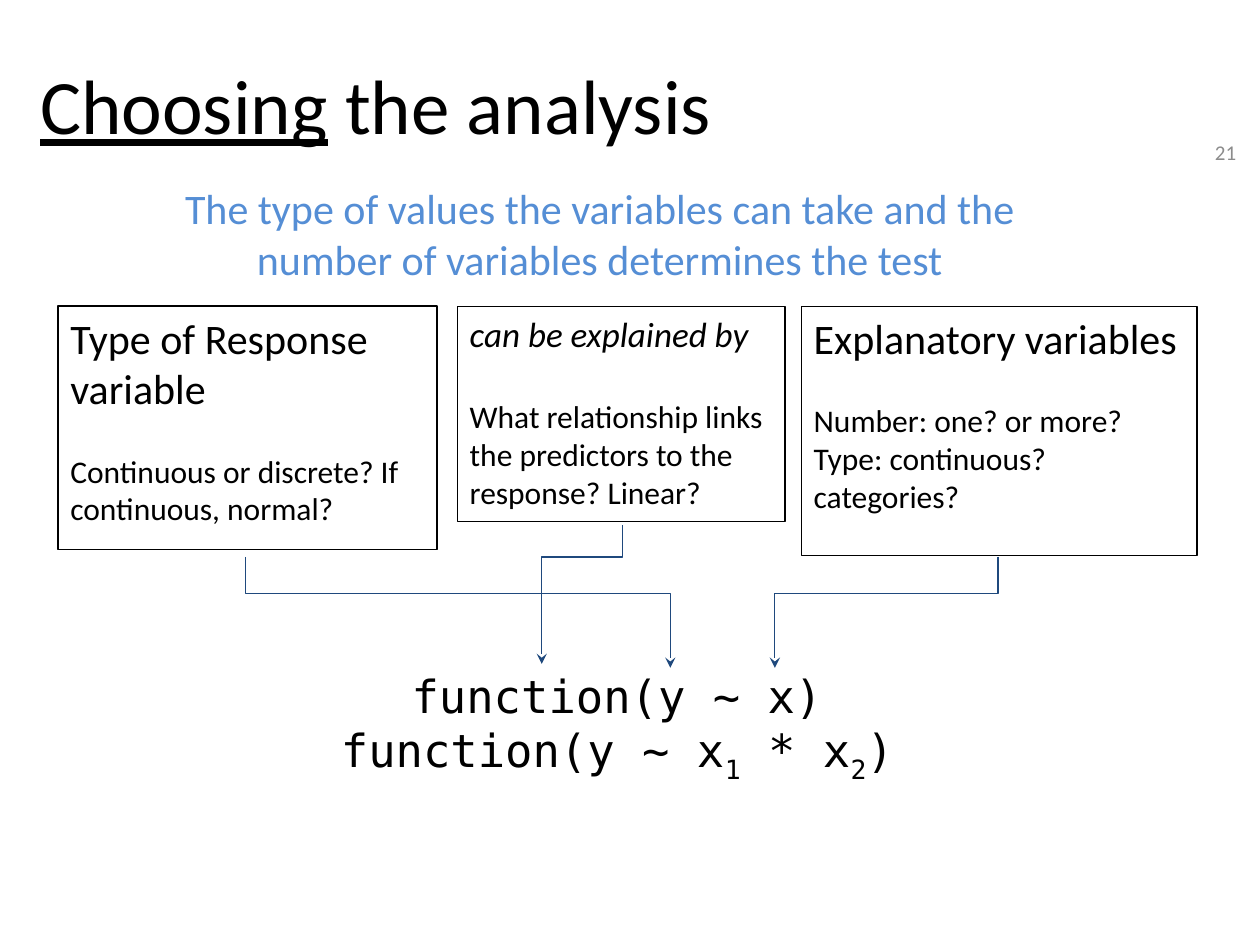
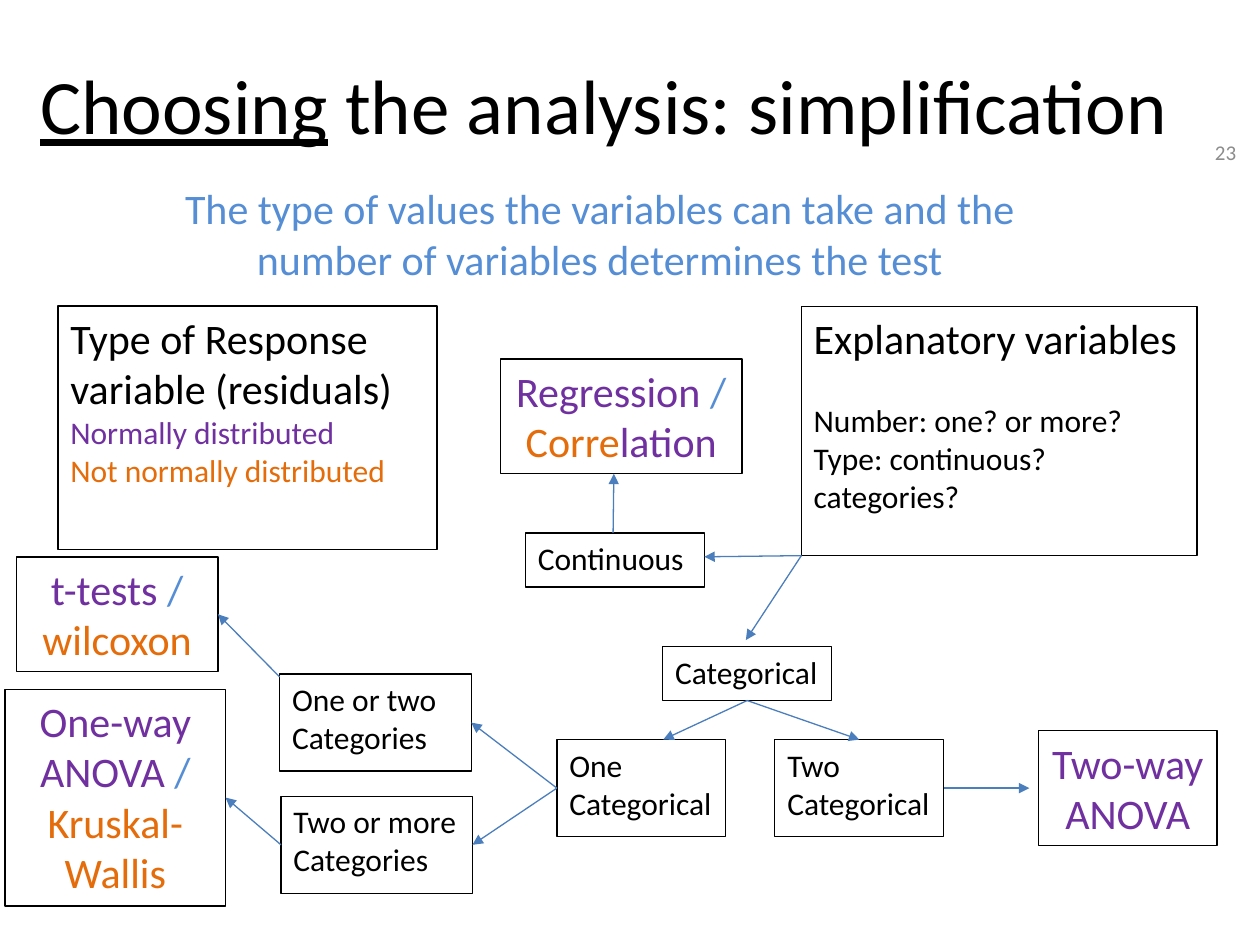
from lxml import etree
from pptx import Presentation
from pptx.dml.color import RGBColor
from pptx.enum.shapes import MSO_CONNECTOR, MSO_SHAPE
from pptx.enum.text import MSO_ANCHOR, PP_ALIGN
from pptx.oxml.ns import qn
from pptx.util import Inches, Pt

RECTANGLE = MSO_SHAPE.RECTANGLE
STRAIGHT = MSO_CONNECTOR.STRAIGHT
LEFT, CENTER, RIGHT = PP_ALIGN.LEFT, PP_ALIGN.CENTER, PP_ALIGN.RIGHT
TOP, MIDDLE, BOTTOM = MSO_ANCHOR.TOP, MSO_ANCHOR.MIDDLE, MSO_ANCHOR.BOTTOM

COLORS = {
    "black": "000000",
    "white": "FFFFFF",
    "gray": "8C8C8C",
    "sky": "558ED5",
    "navy": "1F497D",
    "steel": "4B7EBC",
    "purple": "7030A0",
    "orange": "E46C0A",
}
COLUMNS, ROWS = 100, 75
WIDTH, HEIGHT = Inches(10), Inches(7.5)
BODY_FONT, CODE_FONT = "Calibri", "DejaVu Sans Mono"
LINE_WIDTH = Pt(0.75)
BLANK_LINE = 1.22

RESPONSE_AREA = (4.6, 24.3, 30.1, 19.3)
EXPLANATORY_AREA = (63.6, 24.3, 31.4, 19.8)
SUBTITLE = ("The type of values the variables can take "
            "and the number of variables determines the test")


def rgb(name):
    return RGBColor.from_string(COLORS[name])


def write(paragraph, text, size=18, color="black", font=BODY_FONT,
          underline=None, italic=None, baseline=None):
    run = paragraph.add_run()
    run.text = text
    run.font.size = Pt(size)
    run.font.name = font
    run.font.color.rgb = rgb(color)
    run.font.underline = underline
    run.font.italic = italic
    if baseline:
        run.font._element.set("baseline", str(baseline * 1000))


class Deck:
    def __init__(self):
        self.presentation = Presentation()
        self.presentation.slide_width = WIDTH
        self.presentation.slide_height = HEIGHT
        self.slide = None

    def point(self, column, row):
        return round(column * WIDTH / COLUMNS), round(row * HEIGHT / ROWS)

    def area(self, left, top, width, height):
        return (*self.point(left, top), *self.point(width, height))

    def side(self, shape, across, down):
        left = shape.left + across * shape.width
        top = shape.top + down * shape.height
        return left * COLUMNS / WIDTH, top * ROWS / HEIGHT

    def fill_text(self, shape, paragraphs, align=LEFT, anchor=TOP, inset=0.05,
                  gaps=None, **text_format):
        frame = shape.text_frame
        frame.word_wrap = True
        frame.vertical_anchor = anchor
        frame.margin_left = frame.margin_right = Inches(0.1)
        frame.margin_top = frame.margin_bottom = Inches(inset)
        for index, runs in enumerate(paragraphs):
            paragraph = frame.paragraphs[0] if index == 0 else frame.add_paragraph()
            paragraph.alignment = align
            if gaps and index in gaps:
                paragraph.space_before = Pt(gaps[index] * BLANK_LINE)
            for run in [runs] if isinstance(runs, str) else runs:
                text, own_format = (run, {}) if isinstance(run, str) else run
                write(paragraph, text, **{**text_format, **own_format})

    def start_slide(self, title_end, number):
        layout = self.presentation.slide_layouts[5]
        self.slide = self.presentation.slides.add_slide(layout)
        title = self.slide.shapes.title
        title.left, title.top, title.width, title.height = self.area(2.2, 3.1, 94.3, 9.8)
        self.fill_text(title, [[("Choosing", {"underline": True}), title_end]],
                       anchor=BOTTOM, inset=0.1, size=44)
        self.text((93.1, 9.9, 6, 4.3), [number], align=RIGHT, anchor=MIDDLE,
                  inset=0.1, size=12, color="gray")
        self.text((9.7, 14, 75.8, 9.1), [SUBTITLE], align=CENTER, size=24, color="sky")

    def text(self, area, paragraphs, **text_format):
        shape = self.slide.shapes.add_textbox(*self.area(*area))
        self.fill_text(shape, paragraphs, **text_format)

    def box(self, area, paragraphs, fill="white", border=True, **text_format):
        shape = self.slide.shapes.add_shape(RECTANGLE, *self.area(*area))
        shape.shadow.inherit = False
        if fill:
            shape.fill.solid()
            shape.fill.fore_color.rgb = rgb(fill)
        else:
            shape.fill.background()
        if border:
            self.stroke(shape, "black")
        else:
            shape.line.fill.background()
        self.fill_text(shape, paragraphs, **text_format)
        return shape

    def test_box(self, area, paragraphs):
        return self.box(area, paragraphs, fill=None, align=CENTER, size=24,
                        color="purple")

    def explanatory_box(self):
        return self.box(EXPLANATORY_AREA, [
            [("Explanatory variables", {"size": 24})],
            "Number: one? or more?",
            "Type: continuous? categories?",
        ], gaps={1: 18})

    def stroke(self, shape, color, head=None):
        shape.line.color.rgb = rgb(color)
        shape.line.width = LINE_WIDTH
        if head:
            line = shape._element.spPr.find(qn("a:ln"))
            etree.SubElement(line, qn("a:tailEnd"), type=head)

    def arrow(self, start, end):
        connector = self.slide.shapes.add_connector(
            STRAIGHT, *self.point(*start), *self.point(*end))
        self.stroke(connector, "steel", "triangle")
        etree.SubElement(connector._element.spPr, qn("a:effectLst"))

    def elbow(self, start, bend_row, end):
        corners = [(start[0], bend_row), (end[0], bend_row), end]
        builder = self.slide.shapes.build_freeform(*self.point(*start))
        builder.add_line_segments([self.point(*corner) for corner in corners], close=False)
        shape = builder.convert_to_shape()
        shape.fill.background()
        shape.shadow.inherit = False
        self.stroke(shape, "navy", "stealth")


def add_formula_slide(deck):
    deck.start_slide(" the analysis", "21")
    deck.box((36.3, 24.3, 26, 17.1), [
        [("can be explained by", {"size": 20, "italic": True})],
        "What relationship links the predictors to the response? Linear?",
    ], gaps={1: 20})
    deck.box(RESPONSE_AREA, [
        [("Type of Response variable", {"size": 24})],
        "Continuous or discrete? If continuous, normal?",
    ], gaps={1: 18})
    deck.explanatory_box()
    subscript = {"baseline": -25}
    deck.box((25.3, 52.5, 47.4, 11.9), [
        "function(y ~ x)",
        ["function(y ~ x", ("1", subscript), " * x", ("2", subscript), ")"],
    ], border=False, align=CENTER, size=26, font=CODE_FONT)
    deck.elbow((19.5, 44.2), 47.1, (53.2, 53))
    deck.elbow((49.4, 41.7), 44.2, (43, 52.7))
    deck.elbow((79.2, 44.2), 47.1, (61.5, 53))


def add_decision_slide(deck):
    deck.start_slide(" the analysis: simplification", "23")
    sky, orange, purple = ({"color": name} for name in ("sky", "orange", "purple"))
    explanatory = deck.explanatory_box()
    deck.box(RESPONSE_AREA, [
        [("Type of Response variable (residuals)", {"size": 24})],
        [("Normally distributed", purple)],
        [("Not normally distributed", orange)],
    ])

    continuous = deck.box((41.7, 42.3, 14.2, 4.3), ["Continuous"])
    categorical = deck.box((52.6, 51.3, 13.4, 4.3), ["Categorical"])
    one_categorical = deck.box((44.2, 58.7, 13.4, 7.7), ["One Categorical"])
    two_categorical = deck.box((61.5, 58.7, 13.4, 7.7), ["Two", "Categorical"])
    few_categories = deck.box((22.2, 53.5, 15.2, 7.7), ["One or two Categories"])
    more_categories = deck.box((22.3, 63.2, 15.2, 7.7), ["Two or more Categories"])

    regression = deck.test_box((39.7, 28.5, 19.2, 9.1), [
        ["Regression", (" /", sky)], [("Corre", orange), "lation"]])
    t_tests = deck.test_box((1.3, 44.2, 16, 9.1), [
        ["t-tests", (" /", sky)], [("wilcoxon", orange)]])
    one_way = deck.test_box((0.4, 54.7, 17.5, 17.2), [
        ["One-way ANOVA ", ("/ ", sky), ("Kruskal-Wallis", orange)]])
    deck.test_box((82.4, 58, 14.2, 9.1), ["Two-way ANOVA"])

    side = deck.side
    corner = side(explanatory, 0, 1)
    fork = side(categorical, 0.5, 1)
    split = side(one_categorical, 0, 0.5)
    for start, end in [
        (corner, side(continuous, 1, 0.44)),
        (corner, (59.2, 50.8)),
        (side(continuous, 0.49, 0), side(regression, 0.47, 1)),
        (fork, side(one_categorical, 0.63, 0)),
        (fork, side(two_categorical, 0.5, 0)),
        (side(two_categorical, 1, 0.5), (81.7, 62.55)),
        (split, side(few_categories, 1, 0.5)),
        (split, side(more_categories, 1, 0.5)),
        (side(few_categories, 0, 0.03), side(t_tests, 1, 0.5)),
        (side(more_categories, 0, 0.5), side(one_way, 1, 0.5)),
    ]:
        deck.arrow(start, end)


def main():
    deck = Deck()
    add_formula_slide(deck)
    add_decision_slide(deck)
    deck.presentation.save("out.pptx")


if __name__ == "__main__":
    main()
